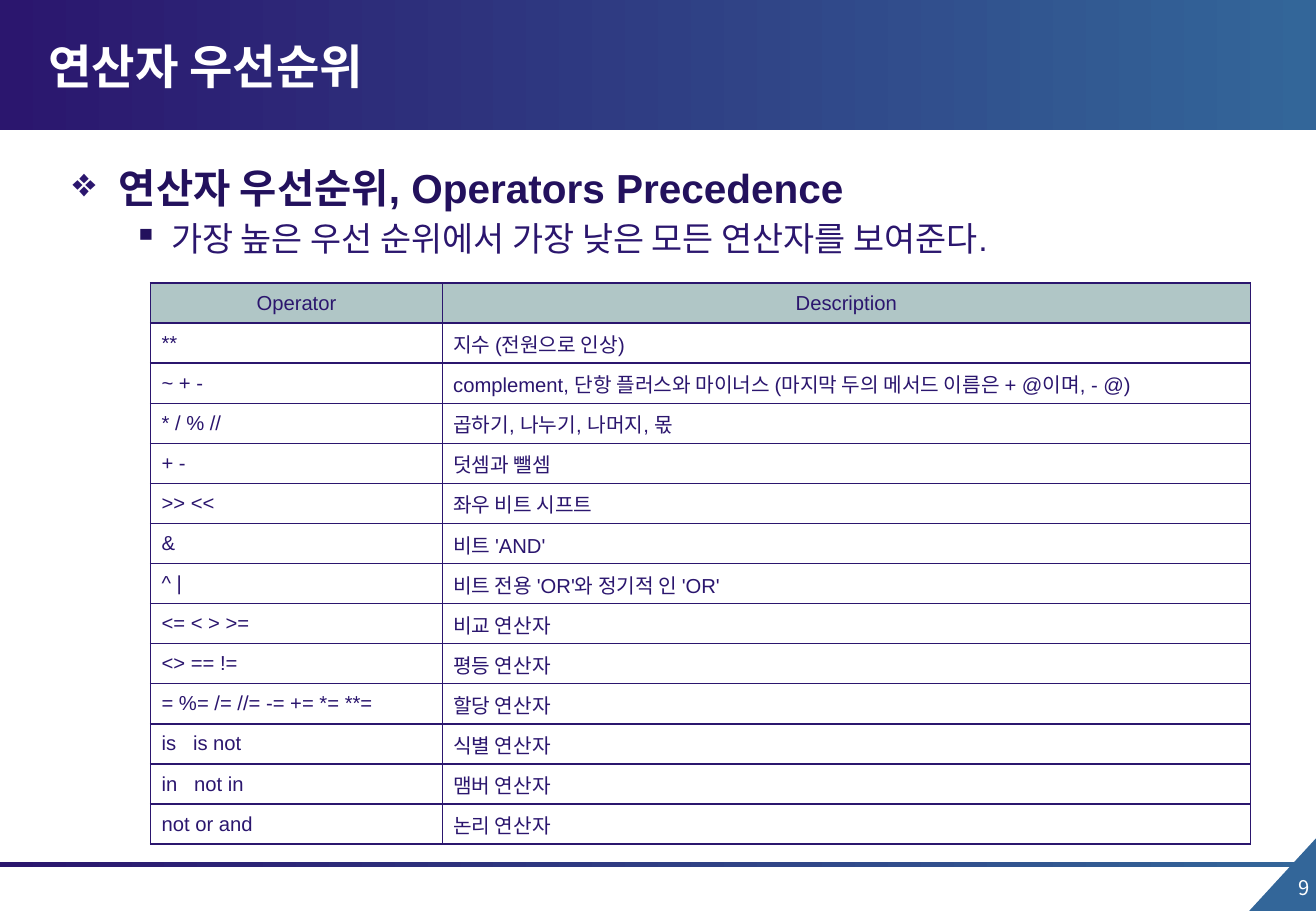
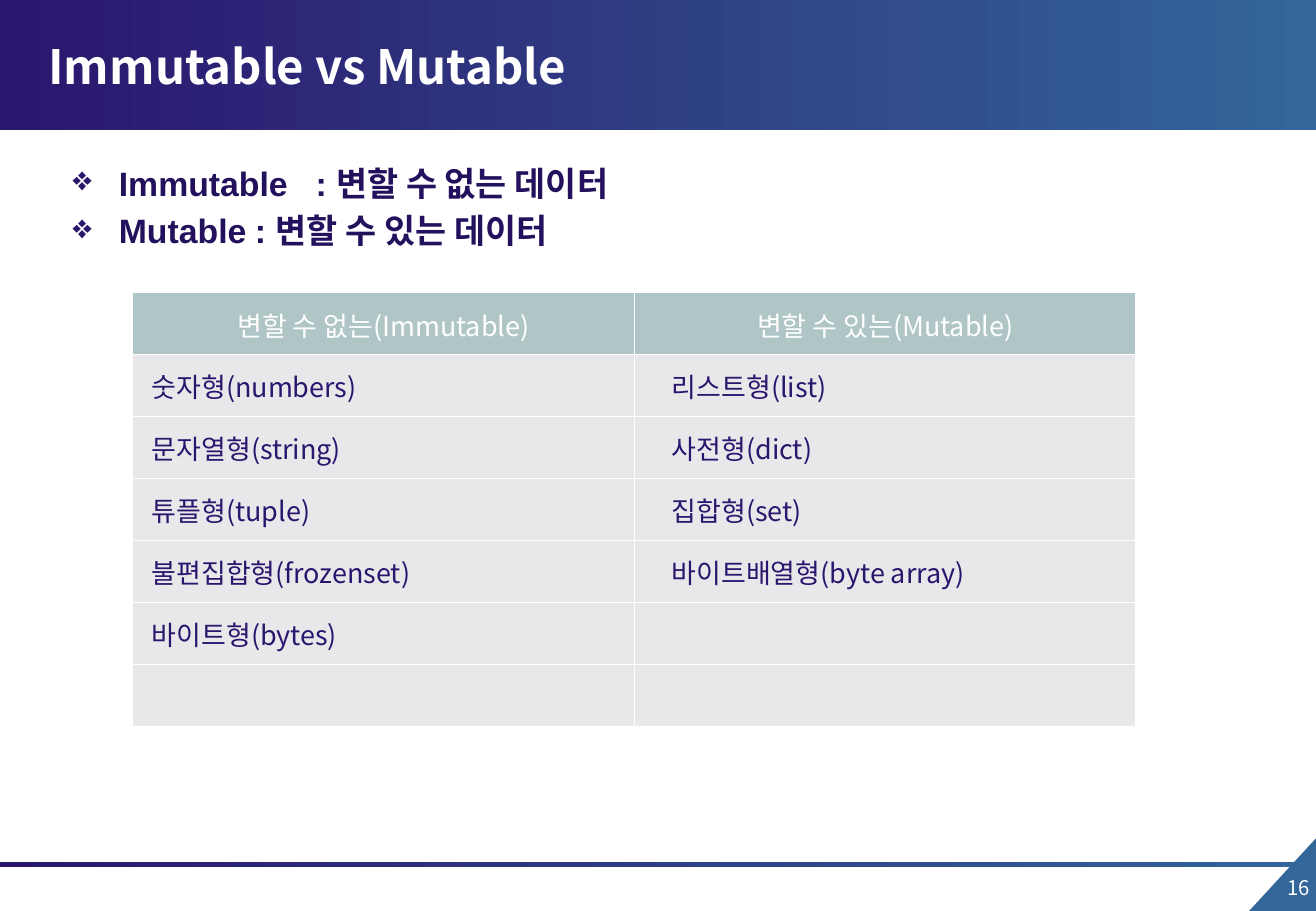
from lxml.etree import SubElement as Sub
from pptx import Presentation
from pptx.dml.color import RGBColor as RGB
from pptx.enum.shapes import MSO_SHAPE as SHAPE
from pptx.enum.text import MSO_ANCHOR as ANCHOR, PP_ALIGN as ALIGN
from pptx.oxml import parse_xml
from pptx.oxml.ns import nsdecls, qn
from pptx.util import Inches, Pt

NAVY = RGB(0x2B, 0x16, 0x6E)
DEEP = RGB(0x23, 0x11, 0x5D)
BLUE = RGB(0x33, 0x66, 0x99)
SAGE = RGB(0xB0, 0xC6, 0xC6)
PALE = RGB(0xE8, 0xE8, 0xEB)
WHITE = RGB(0xFF, 0xFF, 0xFF)
LATIN = "Arial"
KOREAN = "Noto Sans CJK KR"
WIDE, HIGH = 10.83, 7.5

ORDER = [
    ("Operator", "Description"),
    ("**", "지수 (전원으로 인상)"),
    ("~ + -", "complement, 단항 플러스와 마이너스 (마지막 두의 메서드 이름은 + @이며, - @)"),
    ("* / % //", "곱하기, 나누기, 나머지, 몫"),
    ("+ -", "덧셈과 뺄셈"),
    (">> <<", "좌우 비트 시프트"),
    ("&", "비트 'AND'"),
    ("^ |", "비트 전용 'OR'와 정기적 인 'OR'"),
    ("<= < > >=", "비교 연산자"),
    ("<> == !=", "평등 연산자"),
    ("= %= /= //= -= += *= **=", "할당 연산자"),
    ("is   is not", "식별 연산자"),
    ("in   not in", "맴버 연산자"),
    ("not or and", "논리 연산자"),
]
TYPES = [
    ("변할 수 없는(Immutable)", "변할 수 있는(Mutable)"),
    ("숫자형(numbers)", "리스트형(list)"),
    ("문자열형(string)", "사전형(dict)"),
    ("튜플형(tuple)", "집합형(set)"),
    ("불편집합형(frozenset)", "바이트배열형(byte array)"),
    ("바이트형(bytes)", ""),
    ("", ""),
]


def write(para, text, size=12, font=KOREAN, color=WHITE, bold=False, align=ALIGN.LEFT):
    para.alignment = align
    run = para.add_run()
    run.text = text
    run.font.size = Pt(size)
    run.font.name = font
    run.font.bold = bold
    run.font.color.rgb = color
    Sub(run.font._element, qn("a:ea"), typeface=KOREAN)


def frame(slide, box, anchor=ANCHOR.TOP):
    text = slide.shapes.add_textbox(*map(Inches, box)).text_frame
    text.word_wrap = True
    text.vertical_anchor = anchor
    return text


def block(slide, kind, box, fade=False):
    shape = slide.shapes.add_shape(kind, *map(Inches, box))
    shape.shadow.inherit = False
    shape.line.fill.background()
    if fade:
        shape.fill.gradient()
        shape.fill.gradient_angle = 0
        for stop, color, place in zip(shape.fill.gradient_stops, (NAVY, BLUE), (0, 1)):
            stop.color.rgb = color
            stop.position = place
    else:
        shape.fill.solid()
        shape.fill.fore_color.rgb = BLUE
    return shape


def base(deck, title, page):
    slide = deck.slides.add_slide(deck.slide_layouts[6])
    block(slide, SHAPE.RIGHT_TRIANGLE, (10.25, 6.91, 0.62, 0.57)).rotation = 270
    block(slide, SHAPE.RECTANGLE, (0, 7.1, WIDE, 0.04), fade=True)
    block(slide, SHAPE.RECTANGLE, (0, 0, WIDE, 1.07), fade=True)
    number = frame(slide, (10.27, 7.16, 0.61, 0.41))
    write(number.paragraphs[0], str(page), align=ALIGN.RIGHT)
    head = frame(slide, (0.3, 0.23, 8.12, 0.62), ANCHOR.MIDDLE)
    write(head.paragraphs[0], title, size=28, bold=True)
    return slide


def bullet(para, mark, color, left, hang):
    props = para._p.get_or_add_pPr()
    props.set("marL", str(Inches(left)))
    props.set("indent", str(-Inches(hang)))
    Sub(Sub(props, qn("a:spcBef")), qn("a:spcPct"), val="20000")
    Sub(Sub(props, qn("a:buClr")), qn("a:srgbClr"), val=str(color))
    Sub(props, qn("a:buChar"), char=mark)


def points(slide, box, items):
    text = frame(slide, box)
    for i, (level, line, size) in enumerate(items):
        para = text.add_paragraph() if i else text.paragraphs[0]
        para.level = level
        if level:
            bullet(para, "▪", DEEP, 0.81, 0.31)
        else:
            bullet(para, "❖", NAVY, 0.38, 0.38)
        write(para, line, size, LATIN, NAVY if level else DEEP, bold=not level)


def edge(cell, color):
    props = cell._tc.get_or_add_tcPr()
    for i, side in enumerate("LRTB"):
        props.insert(i, parse_xml(
            f'<a:ln{side} {nsdecls("a")} w="{Pt(1)}"><a:solidFill>'
            f'<a:srgbClr val="{color}"/></a:solidFill></a:ln{side}>'))


def paint(cell, color):
    if color is None:
        cell.fill.background()
    else:
        cell.fill.solid()
        cell.fill.fore_color.rgb = color


def grid(slide, spot, cols, step, rows, size, font, ink, fill, line, pads, rest):
    left, top = spot
    box = (left, top, sum(cols), step * len(rows))
    table = slide.shapes.add_table(len(rows), len(cols), *map(Inches, box)).table
    for col, width in zip(table.columns, cols):
        col.width = Inches(width)
    for r, row in enumerate(rows):
        table.rows[r].height = Inches(step)
        for c, text in enumerate(row):
            cell = table.cell(r, c)
            cell.vertical_anchor = ANCHOR.MIDDLE
            right, above, below = rest
            cell.margin_left = Inches(pads[c] if r else right)
            cell.margin_right = Inches(right)
            cell.margin_top = Inches(above)
            cell.margin_bottom = Inches(below)
            paint(cell, fill if r else SAGE)
            edge(cell, line)
            if text:
                write(cell.text_frame.paragraphs[0], text, size, font,
                      NAVY if r else ink, align=ALIGN.LEFT if r else ALIGN.CENTER)


def order(deck):
    slide = base(deck, "연산자 우선순위", 9)
    points(slide, (0.5, 1.29, 9.8, 1.04), [
        (0, "연산자 우선순위, Operators Precedence", 24),
        (1, "가장 높은 우선 순위에서 가장 낮은 모든 연산자를 보여준다.", 20),
    ])
    grid(slide, (1.24, 2.33), (2.4, 6.65), 0.33, ORDER, size=12, font=LATIN,
         ink=NAVY, fill=None, line=NAVY, pads=(0.09, 0.09), rest=(0.09, 0.05, 0.05))


def kinds(deck):
    slide = base(deck, "Immutable vs Mutable", 16)
    points(slide, (0.5, 1.29, 9.8, 1.2), [
        (0, "Immutable\t: 변할 수 없는 데이터", 20),
        (0, "Mutable\t: 변할 수 있는 데이터", 20),
    ])
    grid(slide, (1.09, 2.41), (4.13, 4.13), 0.51, TYPES, size=16, font=KOREAN,
         ink=WHITE, fill=PALE, line=WHITE, pads=(0.16, 0.31), rest=(0.01, 0.01, 0))


def main():
    deck = Presentation()
    deck.slide_width, deck.slide_height = Inches(WIDE), Inches(HIGH)
    order(deck)
    kinds(deck)
    deck.save("out.pptx")


if __name__ == "__main__":
    main()
